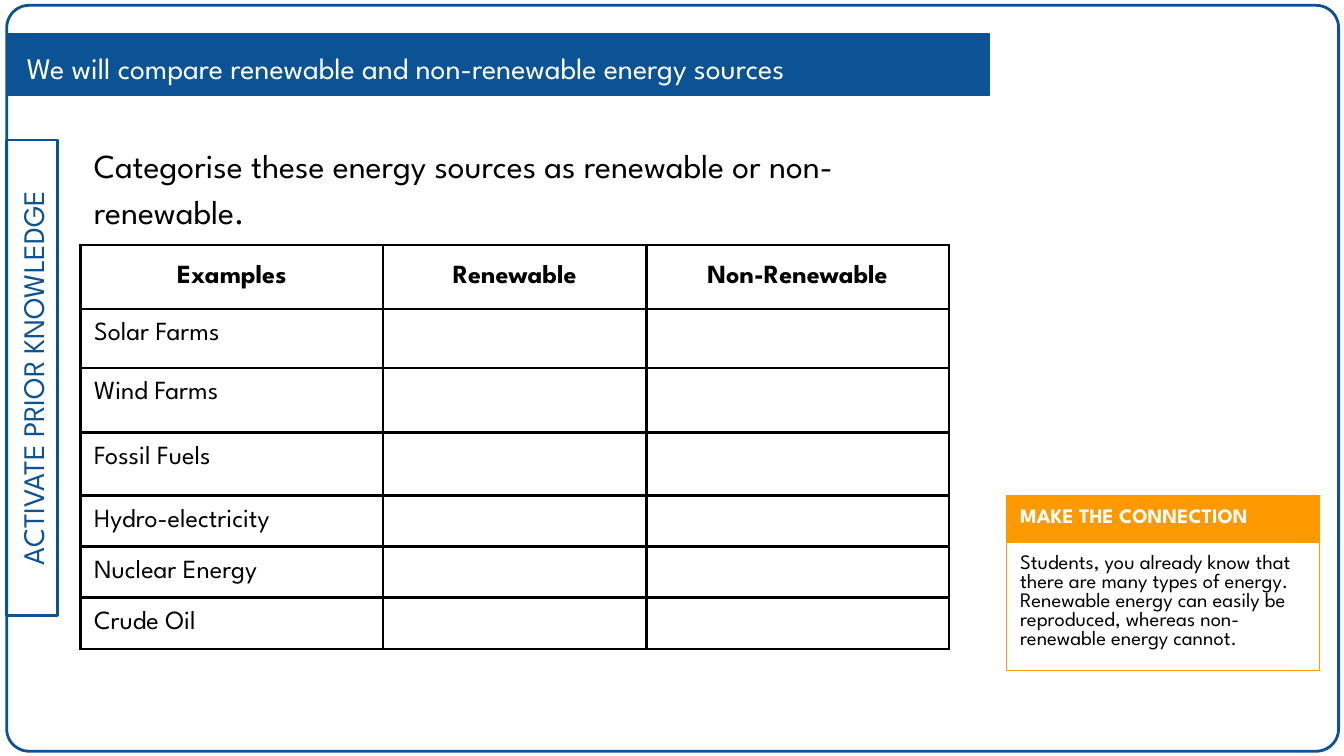
from dataclasses import dataclass

from lxml import etree
from pptx import Presentation
from pptx.dml.color import RGBColor
from pptx.enum.shapes import MSO_SHAPE
from pptx.enum.text import MSO_ANCHOR, MSO_AUTO_SIZE, PP_ALIGN
from pptx.oxml.ns import qn
from pptx.util import Inches, Pt

FONT = "League Spartan"
BLUE, ORANGE, BLACK, WHITE = "0B5394", "FF9900", "000000", "FFFFFF"
LEFT, CENTER = PP_ALIGN.LEFT, PP_ALIGN.CENTER
TOP, MIDDLE = MSO_ANCHOR.TOP, MSO_ANCHOR.MIDDLE
RECT, ROUND = MSO_SHAPE.RECTANGLE, MSO_SHAPE.ROUNDED_RECTANGLE
NO_FIT = MSO_AUTO_SIZE.NONE
WIDE = Inches(10)
HIGH = WIDE * 9 // 16
PAD = Inches(0.1)


@dataclass
class Box:
    """A frame in percent of the slide's width and height."""
    left: float
    top: float
    width: float
    height: float

    def place(self) -> tuple:
        return across(self.left), down(self.top), across(self.width), down(self.height)


@dataclass
class Style:
    size: float
    color: str = BLACK
    bold: bool = False
    align: int = LEFT
    anchor: int = TOP
    space: float | None = None


@dataclass
class Grid:
    """A table, with its place, columns and rows in percent of the slide."""
    left: float
    top: float
    cols: list
    rows: list
    texts: list
    head: Style
    body: Style
    edge: str
    weight: float
    fill: str | None = None


def across(share: float) -> int:
    return round(WIDE * share / 100)


def down(share: float) -> int:
    return round(HIGH * share / 100)


def color(code: str) -> RGBColor:
    return RGBColor.from_string(code)


def paint(fill, code: str | None) -> None:
    if code:
        fill.solid()
        fill.fore_color.rgb = color(code)
    else:
        fill.background()


def style_par(par, style: Style) -> None:
    par.alignment = style.align
    if style.space:
        par.line_spacing = style.space
    font = par.font
    font.name, font.size, font.bold = FONT, Pt(style.size), style.bold
    font.color.rgb = color(style.color)


def write(frame, text: str, style: Style) -> None:
    frame.auto_size = NO_FIT
    frame.word_wrap = True
    frame.vertical_anchor = style.anchor
    frame.margin_left = frame.margin_right = PAD
    frame.margin_top = frame.margin_bottom = PAD
    frame.text = text
    style_par(frame.paragraphs[0], style)


def add_box(slide, kind: int, box: Box, weight: float, fill: str | None = None):
    shape = slide.shapes.add_shape(kind, *box.place())
    shape.shadow.inherit = False
    paint(shape.fill, fill)
    shape.line.color.rgb = color(BLUE)
    shape.line.width = Pt(weight)
    return shape


def edge_cell(cell, code: str, weight: float) -> None:
    props = cell._tc.get_or_add_tcPr()
    for side in ("lnL", "lnR", "lnT", "lnB"):
        line = etree.SubElement(props, qn(f"a:{side}"), w=str(Pt(weight)))
        solid = etree.SubElement(line, qn("a:solidFill"))
        etree.SubElement(solid, qn("a:srgbClr"), val=code)


def add_grid(slide, grid: Grid) -> None:
    box = Box(grid.left, grid.top, sum(grid.cols), sum(grid.rows))
    table = slide.shapes.add_table(len(grid.rows), len(grid.cols), *box.place()).table
    table.first_row = table.horz_banding = False
    for col, share in zip(table.columns, grid.cols):
        col.width = across(share)
    for i, (row, share) in enumerate(zip(table.rows, grid.rows)):
        row.height = down(share)
        style = grid.body if i else grid.head
        for j, cell in enumerate(row.cells):
            edge_cell(cell, grid.edge, grid.weight)
            paint(cell.fill, None if i else grid.fill)
            text = grid.texts[i][j] if j < len(grid.texts[i]) else ""
            cell.vertical_anchor = style.anchor
            cell.margin_left = cell.margin_right = PAD
            cell.margin_top = cell.margin_bottom = PAD if text else 0
            cell.text = text
            style_par(cell.text_frame.paragraphs[0], style)


def main() -> None:
    deck = Presentation()
    deck.slide_width, deck.slide_height = WIDE, HIGH
    slide = deck.slides.add_slide(deck.slide_layouts[5])

    border = add_box(slide, ROUND, Box(0.5, 0.71, 99.1, 98.67), 1.5)
    border.adjustments[0] = 0.03
    label = add_box(slide, RECT, Box(-15.3, 46.6, 35.4, 6.76), 1.5)
    label.rotation = 270
    write(label.text_frame, "ACTIVATE PRIOR KNOWLEDGE",
          Style(16, BLUE, align=CENTER, anchor=MIDDLE))
    add_box(slide, RECT, Box(0.5, 4.44, 73.1, 8.2), 0.75, BLUE)

    task = slide.shapes.add_textbox(*Box(6, 16.6, 67.5, 79.1).place())
    write(task.text_frame,
          "Categorise these energy sources as renewable or non-renewable.",
          Style(18, space=1.15))

    title = slide.shapes.title
    title.left, title.top, title.width, title.height = Box(1, 5.16, 72.1, 6.76).place()
    write(title.text_frame,
          "We will compare renewable and non-renewable energy sources",
          Style(16, WHITE, anchor=MIDDLE, space=1.15))
    slide.shapes._spTree.append(title._element)  # in front of the bar

    add_grid(slide, Grid(
        74.9, 65.55, [23.3], [6.15, 17.05],
        [["MAKE THE CONNECTION"],
         ["Students, you already know that there are many types of energy. "
          "Renewable energy can easily be reproduced, whereas "
          "non-renewable energy cannot."]],
        Style(11, WHITE, bold=True), Style(11), ORANGE, 0.75, ORANGE))

    sources = ["Solar Farms", "Wind Farms", "Fossil Fuels",
               "Hydro-electricity", "Nuclear Energy", "Crude Oil"]
    add_grid(slide, Grid(
        6, 32.4, [22.5, 19.6, 22.5], [8.5, 7.8, 8.55, 8.3] + [6.75] * 3,
        [["Examples", "Renewable", "Non-Renewable"]] + [[name] for name in sources],
        Style(14, bold=True, align=CENTER, anchor=MIDDLE), Style(14), BLACK, 1.5))

    deck.save("out.pptx")


if __name__ == "__main__":
    main()
